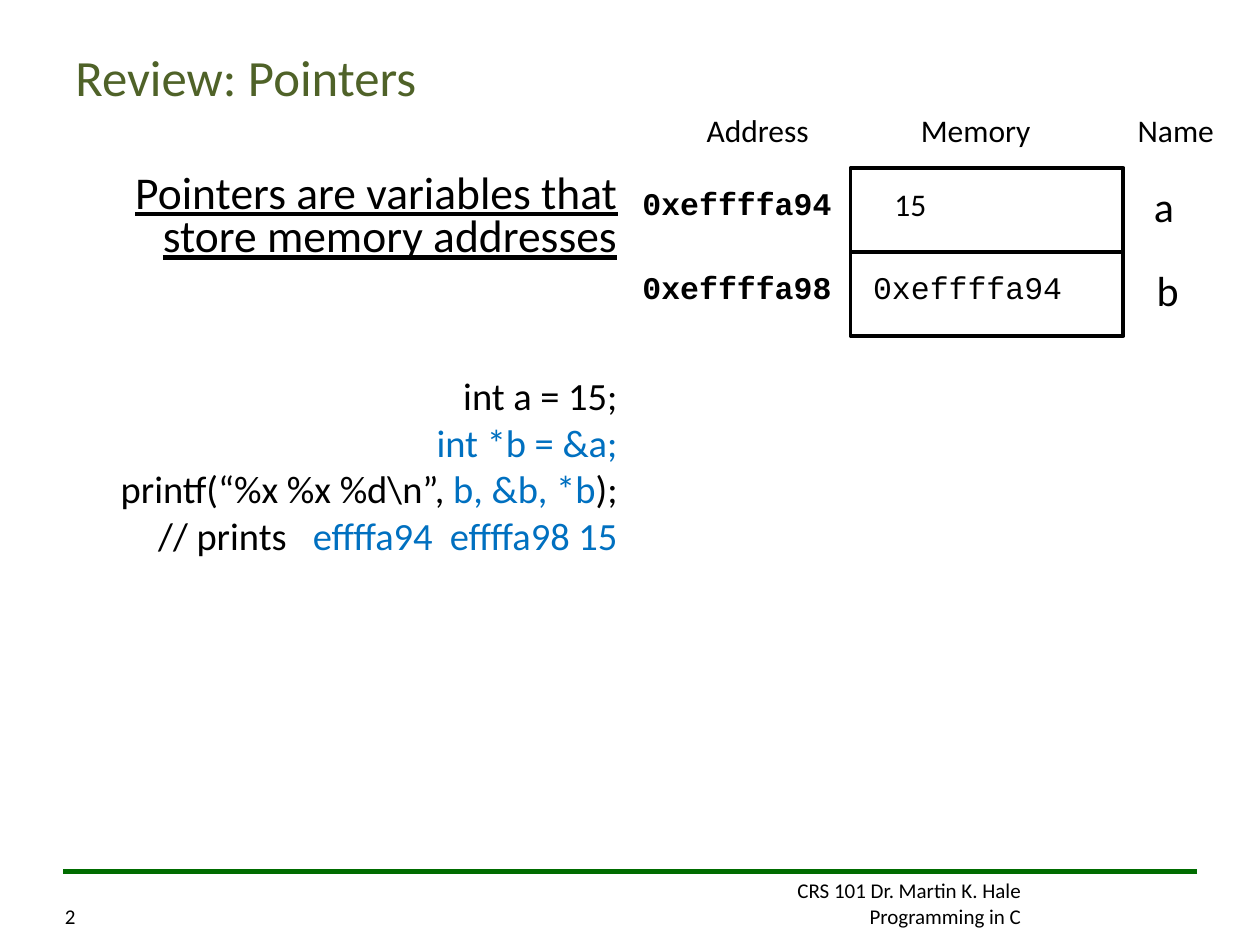
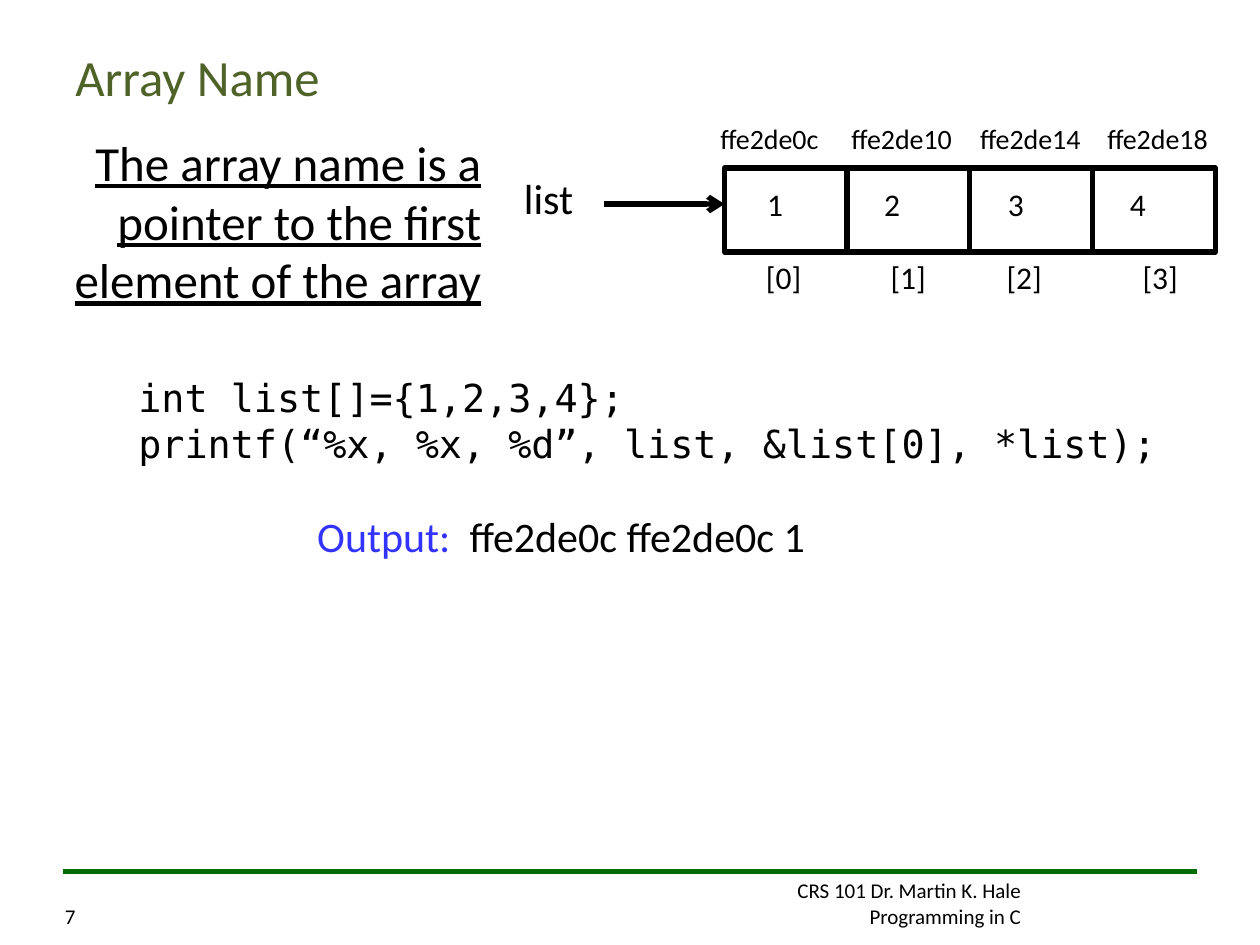
from lxml import etree
from pptx import Presentation
from pptx.dml.color import RGBColor
from pptx.enum import shapes, text
from pptx.oxml import ns
from pptx.util import Pt

BLACK = RGBColor(0x00, 0x00, 0x00)
TITLE_GREEN = RGBColor(0x4F, 0x62, 0x28)
RULE_GREEN = RGBColor(0x00, 0x6C, 0x00)
POINTER_BLUE = RGBColor(0x00, 0x70, 0xC0)
OUTPUT_BLUE = RGBColor(0x33, 0x33, 0xFF)
BODY_FONT = "Calibri"
ADDRESS_FONT = "Courier New"
CODE_FONT = "DejaVu Sans Mono"
RIGHT = text.PP_ALIGN.RIGHT
LABEL_HEIGHT = 28.8
NAME_HEIGHT = 36
CELL_TOP = 96
CELL_HEIGHT = 48


def add_text(slide, left, top, width, height, content, size, font=BODY_FONT,
             colour=BLACK, align=text.PP_ALIGN.LEFT, wrap=False):
    box = slide.shapes.add_textbox(Pt(left), Pt(top), Pt(width), Pt(height))
    frame = box.text_frame
    frame.word_wrap = wrap
    frame.text = content
    for paragraph in frame.paragraphs:
        paragraph.alignment = align
        paragraph.font.size = Pt(size)
        paragraph.font.name = font
        paragraph.font.color.rgb = colour
    return frame


def add_line(slide, start, end, y, colour):
    line = slide.shapes.add_connector(
        shapes.MSO_CONNECTOR.STRAIGHT, Pt(start), Pt(y), Pt(end), Pt(y))
    line.line.color.rgb = colour
    line.line.width = Pt(3)
    etree.SubElement(line._element.spPr, ns.qn("a:effectLst"))
    return line


presentation = Presentation()
presentation.slide_width = Pt(720)
presentation.slide_height = Pt(540)

memory_cells = [(486, CELL_TOP + row * CELL_HEIGHT, 156, 2.25) for row in range(2)]
array_cells = [(414 + column * 70.1, CELL_TOP, 70.1, 3) for column in range(4)]
slides = []
for title, number, cells in (("Review: Pointers", "2", memory_cells),
                             ("Array Name", "7", array_cells)):
    slide = presentation.slides.add_slide(presentation.slide_layouts[6])
    slides.append(slide)
    add_text(slide, 348, 498.2, 242.6, 36,
             "CRS 101 Dr. Martin K. Hale\nProgramming in C", 12, align=RIGHT, wrap=True)
    add_line(slide, 684, 36, 498.2, RULE_GREEN)
    add_text(slide, 30, 512.9, 28.8, 22, number, 12, wrap=True)
    heading = add_text(slide, 36, 21.2, 648, 44.6, title, 29, colour=TITLE_GREEN, wrap=True)
    heading.vertical_anchor = text.MSO_ANCHOR.MIDDLE
    for left, top, width, weight in cells:
        cell = slide.shapes.add_shape(
            shapes.MSO_SHAPE.RECTANGLE, Pt(left), Pt(top), Pt(width), Pt(CELL_HEIGHT))
        cell.shadow.inherit = False
        cell.fill.background()
        cell.line.color.rgb = BLACK
        cell.line.width = Pt(weight)

pointers, array = slides

body = add_text(pointers, 42, CELL_TOP, 318, 240,
                "Pointers are variables that store memory addresses", 26,
                align=RIGHT, wrap=True)
body.paragraphs[0].font.underline = True
body.paragraphs[0].line_spacing = 0.8
code_lines = [
    [("int a = 15;", BLACK)],
    [("int *b = &a;", POINTER_BLUE)],
    [("printf(“%x %x %d\\n”, ", BLACK), ("b, &b, *b", POINTER_BLUE), (");", BLACK)],
    [("// prints   ", BLACK), ("effffa94  effffa98 15", POINTER_BLUE)],
]
for index, runs in enumerate(code_lines):
    paragraph = body.add_paragraph()
    paragraph.alignment = RIGHT
    paragraph.line_spacing = 0.8
    paragraph.space_before = Pt(5.5 if index else 68.2)
    paragraph.font.size = Pt(22)
    paragraph.font.name = BODY_FONT
    for content, colour in runs:
        run = paragraph.add_run()
        run.text = content
        run.font.color.rgb = colour

for heading, left, width in (("Address", 396.7, 76), ("Memory", 519.1, 80),
                             ("Name", 643, 62)):
    add_text(pointers, left, 59.8, width, LABEL_HEIGHT, heading, 18, wrap=True)

for row, (address, name) in enumerate((("0xeffffa94", "a"), ("0xeffffa98", "b"))):
    offset = row * CELL_HEIGHT
    label = add_text(pointers, 360, 101.7 + offset, 162, LABEL_HEIGHT, address, 18,
                     font=ADDRESS_FONT, wrap=True)
    label.paragraphs[0].font.bold = True
    add_text(pointers, 652.3 + row * 1.5, 99.5 + offset, 26, NAME_HEIGHT, name, 24)
add_text(pointers, 504, 102, 32.4, LABEL_HEIGHT, "15", 18)
add_text(pointers, 491.8, 149.7, 162, LABEL_HEIGHT, "0xeffffa94", 18,
         font=ADDRESS_FONT, wrap=True)

body = add_text(array, 12, 72, 270, 120,
                "The array name is a pointer to the first element of the array", 28,
                align=RIGHT, wrap=True)
body.paragraphs[0].font.underline = True

elements = zip((431.3, 498.2, 568.8, 638.6), (430.6, 501.8, 568.1, 645.8),
               (404.6, 479.5, 553, 625.7), ("0c", "10", "14", "18"))
for index, (value_left, index_left, address_left, suffix) in enumerate(elements):
    add_text(array, value_left, 102, 23, LABEL_HEIGHT, str(index + 1), 18)
    add_text(array, index_left, 144, 34.6, LABEL_HEIGHT, f"[{index}]", 18)
    add_text(array, address_left, 66.2, 72, 26.6, "ffe2de" + suffix, 16)

add_text(array, 292.3, 95, 42.5, NAME_HEIGHT, "list", 24)
arrow = add_line(array, 344.9, 414, 116.6, BLACK)
etree.SubElement(arrow.line._get_or_add_ln(), ns.qn("a:tailEnd"), type="arrow")

add_text(array, 72, 210.2, 618, 86.4,
         "int list[]={1,2,3,4};\nprintf(“%x, %x, %d”, list, &list[0], *list);", 22,
         font=CODE_FONT, wrap=True)

output = add_text(array, 174.2, 288, 378, NAME_HEIGHT, "Output:  ", 24, wrap=True)
output.paragraphs[0].runs[0].font.color.rgb = OUTPUT_BLUE
result = output.paragraphs[0].add_run()
result.text = "ffe2de0c ffe2de0c 1"

presentation.save("out.pptx")
